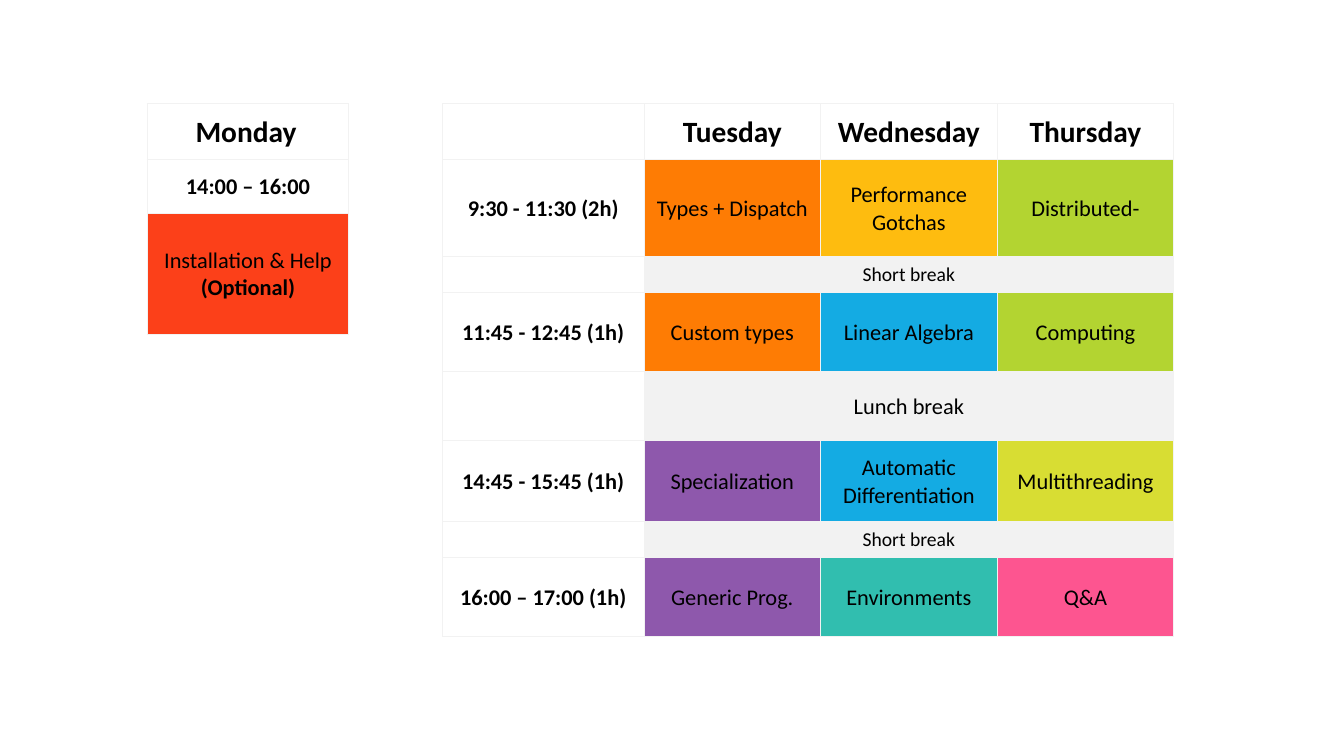
from dataclasses import dataclass
from lxml import etree
from pptx import Presentation
from pptx import util as u
from pptx.dml.color import RGBColor
from pptx.enum import text
from pptx.oxml.ns import qn


@dataclass(frozen=True)
class Theme:
    font: str = "Calibri"
    day: int = 21
    body: int = 16
    small: int = 14
    ink: str = "000000"
    paper: str = "FFFFFF"
    grey: str = "F2F2F2"
    red: str = "FC4019"
    orange: str = "FE7C04"
    amber: str = "FEBC0F"
    green: str = "B3D431"
    blue: str = "14ABE3"
    purple: str = "8E58AC"
    lime: str = "D8DD33"
    teal: str = "31BEAF"
    pink: str = "FD5590"


T = Theme()
TIGHT = (0.03, 0.03, 0.03, 0)
ROOMY = (0.3, 0.15, 0.3, 0.15)
MONDAY_INSET = (0.03, 0.03, 0.13, 0)

DAYS = ["Tuesday", "Wednesday", "Thursday"]
SHORT_BREAK = (0.91, "Short break", T.small)
LUNCH_BREAK = (1.74, "Lunch break", T.body)
SESSIONS = [
    (2.44, "9:30 - 11:30 (2h)", [("Types + Dispatch", T.orange),
                                 ("Performance Gotchas", T.amber),
                                 ("Distributed-", T.green)], SHORT_BREAK),
    (1.99, "11:45 - 12:45 (1h)", [("Custom types", T.orange),
                                  ("Linear Algebra", T.blue),
                                  ("Computing", T.green)], LUNCH_BREAK),
    (2.03, "14:45 - 15:45 (1h)", [("Specialization", T.purple),
                                  ("Automatic Differentiation", T.blue),
                                  ("Multithreading", T.lime)], SHORT_BREAK),
    (2, "16:00 – 17:00 (1h)", [("Generic Prog.", T.purple),
                               ("Environments", T.teal),
                               ("Q&A", T.pink)], None),
]


def write(p, words, size=T.body, bold=False, color=T.ink):
    p.alignment = text.PP_ALIGN.CENTER
    r = p.add_run()
    r.text = words
    r.font.name = T.font
    r.font.size = u.Pt(size)
    r.font.bold = bold
    r.font.color.rgb = RGBColor.from_string(color)


def set_borders(cell):
    tc_pr = cell._tc.get_or_add_tcPr()
    for side in ("a:lnL", "a:lnR", "a:lnT", "a:lnB"):
        ln = etree.SubElement(tc_pr, qn(side), w=str(u.Pt(0.75)))
        fill = etree.SubElement(ln, qn("a:solidFill"))
        etree.SubElement(fill, qn("a:srgbClr"), val=T.grey)


def fill_cell(cell, words="", fill=T.paper, inset=TIGHT, **fmt):
    cell.fill.solid()
    cell.fill.fore_color.rgb = RGBColor.from_string(fill)
    cell.vertical_anchor = text.MSO_ANCHOR.MIDDLE
    (cell.margin_left, cell.margin_top,
     cell.margin_right, cell.margin_bottom) = map(u.Cm, inset)
    if words:
        write(cell.text_frame.paragraphs[0], words, **fmt)


def add_grid(s, left, top, widths, heights):
    tbl = s.shapes.add_table(len(heights), len(widths), u.Cm(left), u.Cm(top),
                             u.Cm(sum(widths)), u.Cm(sum(heights))).table
    tbl.first_row = tbl.horz_banding = False
    for col, width in zip(tbl.columns, widths):
        col.width = u.Cm(width)
    for row, height in zip(tbl.rows, heights):
        row.height = u.Cm(height)
    for cell in tbl.iter_cells():
        set_borders(cell)
        fill_cell(cell)
    return tbl


def add_monday(s, left, top, width):
    tbl = add_grid(s, left, top, [width], [1.42, 1.35, 3.05])
    fill_cell(tbl.cell(0, 0), "Monday", inset=MONDAY_INSET, size=T.day, bold=True)
    fill_cell(tbl.cell(1, 0), "14:00 – 16:00", bold=True)
    optional = tbl.cell(2, 0)
    fill_cell(optional, "Installation & Help", T.red)
    write(optional.text_frame.add_paragraph(), "(Optional)", bold=True)


def add_week(s, left, top, time_width, day_width):
    heights = [1.42]
    for height, _, _, pause in SESSIONS:
        heights += [height] + ([pause[0]] if pause else [])
    tbl = add_grid(s, left, top, [time_width] + [day_width] * len(DAYS), heights)
    for col, day in enumerate(DAYS, 1):
        fill_cell(tbl.cell(0, col), day, size=T.day, bold=True)
    for i, (_, time, topics, pause) in enumerate(SESSIONS):
        row = 2 * i + 1
        fill_cell(tbl.cell(row, 0), time, bold=True)
        for col, (topic, color) in enumerate(topics, 1):
            inset = ROOMY if color == T.green else TIGHT
            fill_cell(tbl.cell(row, col), topic, color, inset)
        if pause:
            _, label, size = pause
            first = tbl.cell(row + 1, 1)
            first.merge(tbl.cell(row + 1, len(DAYS)))
            fill_cell(first, label, T.grey, ROOMY, size=size)


def main():
    prs = Presentation()
    prs.slide_width, prs.slide_height = u.Cm(33.87), u.Cm(19.05)
    s = prs.slides.add_slide(prs.slide_layouts[6])
    add_week(s, 11.15, 2.61, 5.08, 4.45)
    add_monday(s, 3.71, 2.61, 5.08)
    prs.save("out.pptx")


if __name__ == "__main__":
    main()
